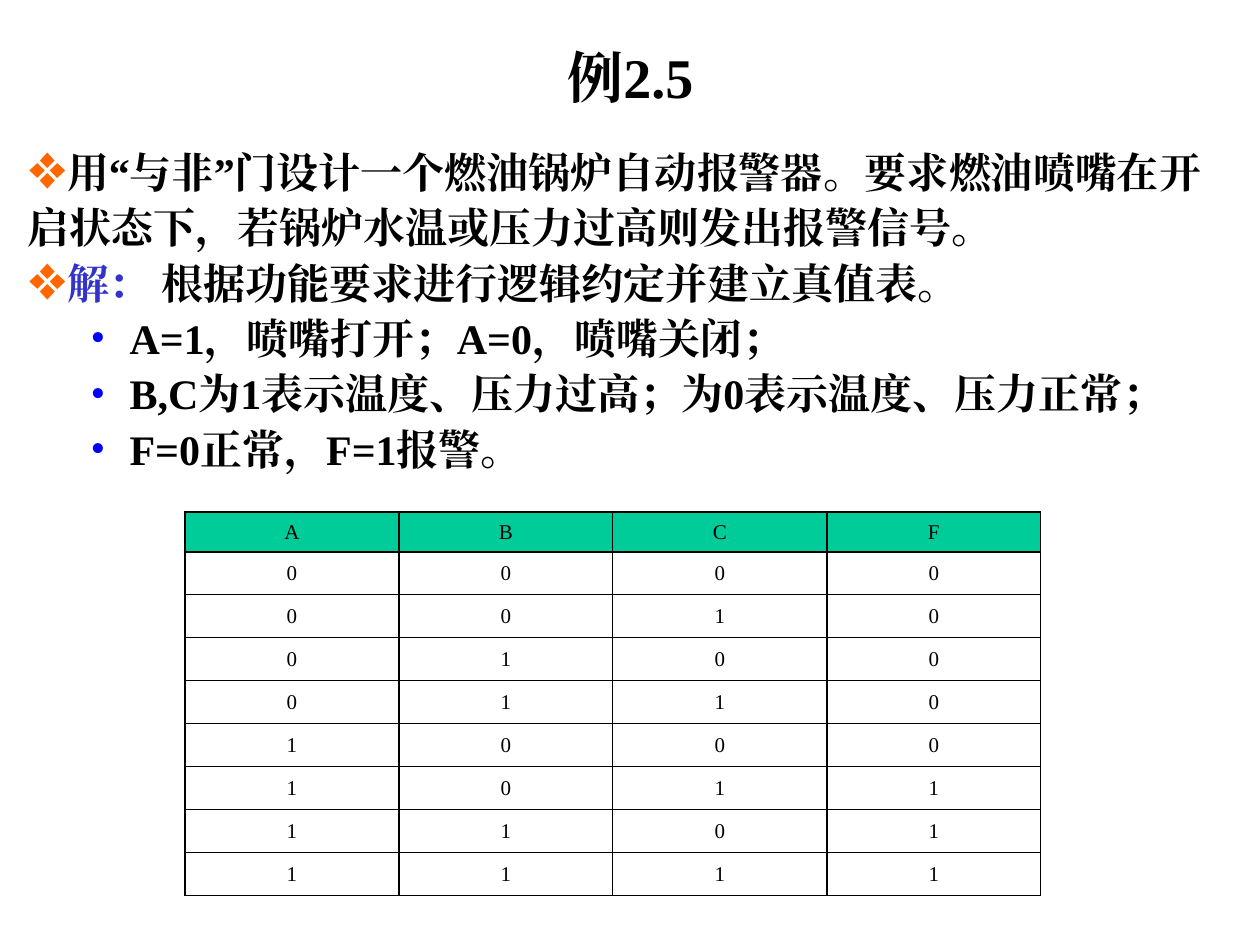
"""Build the slide for example 2.5: a boiler alarm with its truth table."""
import dataclasses
import itertools

import pptx
import pptx.dml.color
import pptx.enum.text
import pptx.oxml
import pptx.oxml.ns
import pptx.util

EMU_PER_PX = 914400 / 126
FONT = "Times New Roman"
BLACK = "000000"
HEADER_GREEN = "00CC99"
CENTER = pptx.enum.text.PP_ALIGN.CENTER
MIDDLE = pptx.enum.text.MSO_ANCHOR.MIDDLE


@dataclasses.dataclass(frozen=True)
class Bullet:
    """Describe a bullet and its indents in px."""
    character: str
    color: str
    percent: int
    margin: int
    hanging: int
    level: int


@dataclasses.dataclass(frozen=True)
class Item:
    """Describe a list item as pairs of text and colour."""
    bullet: Bullet
    runs: tuple[tuple[str, str], ...]


DIAMOND = Bullet("❖", "FF6600", 120, 0, 0, 0)
DOT = Bullet("•", "0000FF", 100, 102, 39, 1)
ITEMS = (
    Item(DIAMOND, (("用“与非”门设计一个燃油锅炉自动报警器。要求燃油喷嘴在开启状态下，"
                    "若锅炉水温或压力过高则发出报警信号。", BLACK),)),
    Item(DIAMOND, (("解：", "3333CC"), (" 根据功能要求进行逻辑约定并建立真值表。", BLACK))),
    Item(DOT, (("A=1，喷嘴打开；A=0，喷嘴关闭；", BLACK),)),
    Item(DOT, (("B,C为1表示温度、压力过高；为0表示温度、压力正常；", BLACK),)),
    Item(DOT, (("F=0正常，F=1报警。", BLACK),)),
)


def px(length: int) -> int:
    """Turn px into EMU."""
    return round(length * EMU_PER_PX)


def rgb(color: str) -> pptx.dml.color.RGBColor:
    """Turn a hex string into a colour."""
    return pptx.dml.color.RGBColor.from_string(color)


def apply_format(target, values: dict) -> None:
    """Set every attribute named in the values."""
    for name, value in values.items():
        setattr(target, name, value)


def place(shape, left: int, top: int, width: int, height: int) -> None:
    """Move and size a shape in px."""
    apply_format(shape, {"left": px(left), "top": px(top),
                         "width": px(width), "height": px(height)})


def append_xml(parent, markup: str) -> None:
    """Append one drawing element to its parent."""
    namespace = pptx.oxml.ns.nsdecls("a")
    head, separator, tail = markup.partition(" ")
    parent.append(pptx.oxml.parse_xml(f"{head} {namespace}{separator}{tail}"))


def add_run(paragraph, text: str, size: int, color: str, bold: bool) -> None:
    """Add a run in the slide's font for Latin and Chinese text."""
    run = paragraph.add_run()
    run.text = text
    apply_format(run.font, {"name": FONT, "size": pptx.util.Pt(size), "bold": bold})
    run.font.color.rgb = rgb(color)
    append_xml(run.font._element, f'<a:ea typeface="{FONT}"/>')


def add_item(paragraph, item: Item) -> None:
    """Write one list item with its bullet."""
    bullet = item.bullet
    apply_format(paragraph, {"level": bullet.level, "line_spacing": 1.1,
                             "space_before": pptx.util.Pt(0),
                             "space_after": pptx.util.Pt(0)})
    properties = paragraph._p.get_or_add_pPr()
    properties.set("marL", str(px(bullet.margin)))
    properties.set("indent", str(-px(bullet.hanging)))
    for markup in (f'<a:buClr ><a:srgbClr val="{bullet.color}"/></a:buClr>',
                   f'<a:buSzPct val="{bullet.percent * 1000}"/>',
                   f'<a:buFont typeface="{FONT}"/>',
                   f'<a:buChar char="{bullet.character}"/>'):
        append_xml(properties, markup)
    for text, color in item.runs:
        add_run(paragraph, text, 24, color, True)


def add_border(cell, side: str, points: float) -> None:
    """Draw one black edge of a cell."""
    append_xml(cell._tc.get_or_add_tcPr(),
               f'<a:ln{side} w="{pptx.util.Pt(points)}"><a:solidFill>'
               f'<a:srgbClr val="{BLACK}"/></a:solidFill></a:ln{side}>')


def fill_title(title) -> None:
    """Place and write the title."""
    place(title, 95, 55, 1071, 42)
    apply_format(title.text_frame, {"vertical_anchor": MIDDLE, "word_wrap": True,
                                    "auto_size": pptx.enum.text.MSO_AUTO_SIZE.NONE})
    paragraph = title.text_frame.paragraphs[0]
    paragraph.alignment = CENTER
    add_run(paragraph, "例2.5", 32, BLACK, True)


def fill_body(body) -> None:
    """Place and write the list."""
    place(body, 15, 135, 1212, 764)
    frame = body.text_frame
    apply_format(frame, {"word_wrap": True,
                         "auto_size": pptx.enum.text.MSO_AUTO_SIZE.NONE})
    for index, item in enumerate(ITEMS):
        add_item(frame.add_paragraph() if index else frame.paragraphs[0], item)


def add_truth_table(slide) -> None:
    """Add the alarm's truth table, with F = A and (B or C)."""
    rows = [("A", "B", "C", "F")]
    rows += [(a, b, c, a & (b | c)) for a, b, c in itertools.product((0, 1), repeat=3)]
    frame = slide.shapes.add_table(len(rows), 4, px(185), px(512), px(856), px(384))
    table = frame.table
    apply_format(table, {"first_row": False, "horz_banding": False})
    for column in table.columns:
        column.width = px(214)
    for row_index, values in enumerate(rows):
        table.rows[row_index].height = px(43 if row_index else 40)
        for column_index, value in enumerate(values):
            cell = table.cell(row_index, column_index)
            cell.vertical_anchor = MIDDLE
            for side, edge, strong in (("L", column_index, {3}),
                                       ("R", column_index + 1, {3}),
                                       ("T", row_index, {0, 1, len(rows)}),
                                       ("B", row_index + 1, {0, 1, len(rows)})):
                add_border(cell, side, 1 if edge in strong else 0.75)
            if row_index:
                cell.fill.background()
            else:
                cell.fill.solid()
                cell.fill.fore_color.rgb = rgb(HEADER_GREEN)
            paragraph = cell.text_frame.paragraphs[0]
            paragraph.alignment = CENTER
            add_run(paragraph, str(value), 12, BLACK, False)


def main() -> None:
    """Build and save the presentation."""
    presentation = pptx.Presentation()
    apply_format(presentation, {"slide_width": px(1260), "slide_height": px(945)})
    slide = presentation.slides.add_slide(presentation.slide_layouts[1])
    fill_title(slide.shapes.title)
    fill_body(slide.placeholders[1])
    add_truth_table(slide)
    presentation.save("out.pptx")


if __name__ == "__main__":
    main()
